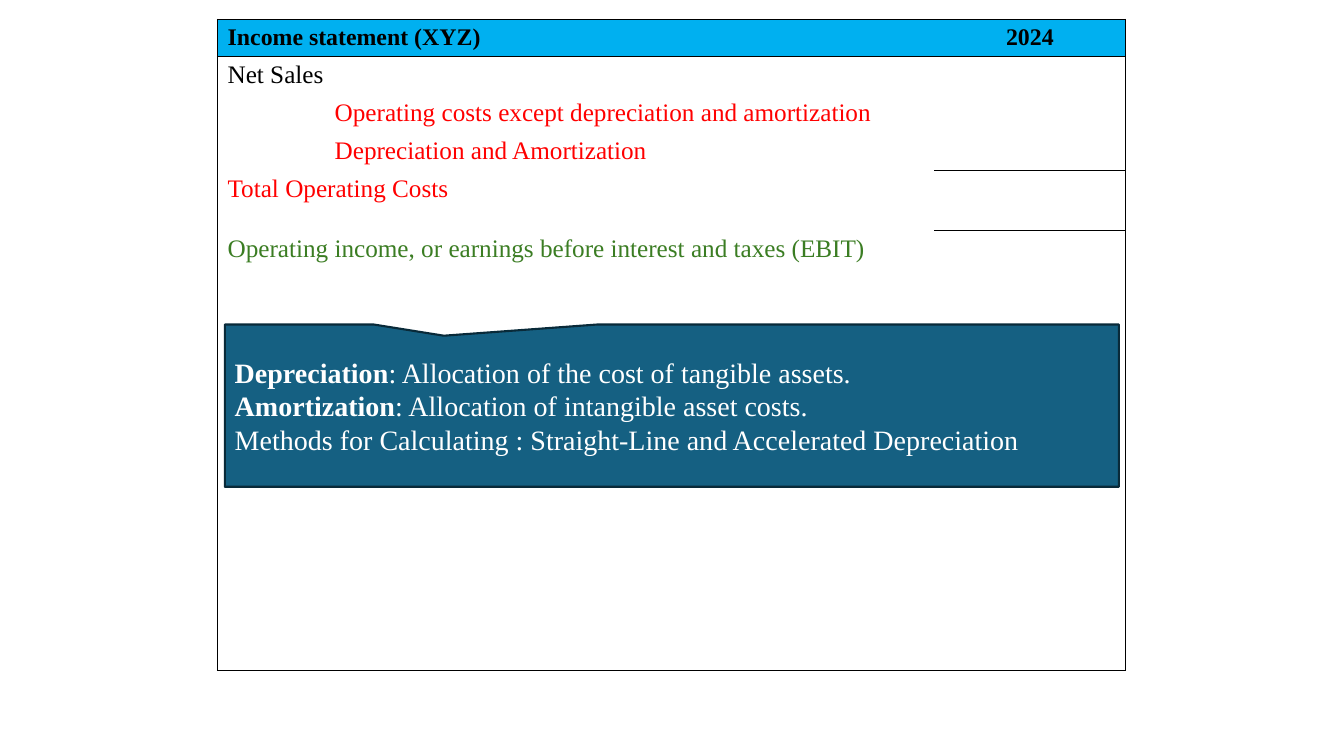
from dataclasses import dataclass

from lxml.etree import SubElement
from pptx import Presentation
from pptx.dml.color import RGBColor
from pptx.enum.shapes import MSO_SHAPE as Shape
from pptx.enum.text import MSO_ANCHOR as Anchor, PP_ALIGN as Align
from pptx.oxml.ns import qn
from pptx.slide import Slide
from pptx.table import Table, _Cell as Cell
from pptx.text.text import _Paragraph as Paragraph
from pptx.util import Pt


@dataclass(frozen=True)
class Theme:
    font: str = "Times New Roman"
    black: str = "000000"
    white: str = "FFFFFF"
    cost: str = "FF0000"
    income: str = "3B7D23"
    header: str = "00B0F0"
    callout: str = "156082"
    callout_line: str = "092A39"
    header_size: float = 17
    body_size: float = 18
    callout_size: float = 20


@dataclass(frozen=True)
class StatementRow:
    label: str = ""
    year: str = ""
    height: float = 27.1
    color: str = "000000"
    indent: float = 0
    header: bool = False


@dataclass(frozen=True)
class Definition:
    term: str
    meaning: str


THEME = Theme()
ROW_COUNT = 17
COLUMN_WIDTHS = (511.9, 136.8)
RULES_ABOVE = ({0, 1, ROW_COUNT}, {0, 1, 4, 5, ROW_COUNT})
SIDE_MARGIN = 7.2
EDGE_MARGIN = 3.2

LABELED_ROWS = [
    StatementRow("Income statement (XYZ)", "2024", 26.4, header=True),
    StatementRow("Net Sales"),
    StatementRow("Operating costs except depreciation and amortization",
                 color=THEME.cost, indent=76.5),
    StatementRow("Depreciation and Amortization", color=THEME.cost, indent=76.5),
    StatementRow("Total Operating Costs", height=42.9, color=THEME.cost),
    StatementRow("Operating income, or earnings before interest and taxes (EBIT)",
                 color=THEME.income),
]
EMPTY_ROWS = [StatementRow(height=26.15)] * (ROW_COUNT - len(LABELED_ROWS))
ROWS = LABELED_ROWS + EMPTY_ROWS

DEFINITIONS = [
    Definition("Depreciation", ": Allocation of the cost of tangible assets."),
    Definition("Amortization", ": Allocation of intangible asset costs."),
    Definition("", "Methods for Calculating : Straight-Line and Accelerated Depreciation"),
]


def add_text(paragraph: Paragraph, text: str, *, size: float, color: str,
             bold: bool = False, align: Align = Align.LEFT) -> None:
    paragraph.alignment = align
    run = paragraph.add_run()
    run.text = text
    run.font.name = THEME.font
    run.font.size = Pt(size)
    run.font.bold = bold
    run.font.color.rgb = RGBColor.from_string(color)


def set_borders(cell: Cell, visible: dict[str, bool]) -> None:
    properties = cell._tc.get_or_add_tcPr()
    for position, (side, shown) in enumerate(visible.items()):
        line = SubElement(properties, qn(f"a:ln{side}"), w=str(Pt(1)))
        if shown:
            fill = SubElement(line, qn("a:solidFill"))
            SubElement(fill, qn("a:srgbClr"), val=THEME.black)
        else:
            SubElement(line, qn("a:noFill"))
        properties.insert(position, line)


def fill_cell(table: Table, row_index: int, column_index: int) -> None:
    row = ROWS[row_index]
    cell = table.cell(row_index, column_index)
    text = (row.label, row.year)[column_index]
    cell.margin_left = Pt(SIDE_MARGIN + (row.indent if column_index == 0 else 0))
    cell.margin_right = Pt(SIDE_MARGIN)
    cell.margin_top = cell.margin_bottom = Pt(EDGE_MARGIN if text else 0)
    cell.vertical_anchor = Anchor.MIDDLE if row.header else Anchor.TOP
    if row.header:
        cell.fill.solid()
        cell.fill.fore_color.rgb = RGBColor.from_string(THEME.header)
    else:
        cell.fill.background()
    if text:
        add_text(cell.text_frame.paragraphs[0], text, color=row.color, bold=row.header,
                 size=THEME.header_size if row.header else THEME.body_size,
                 align=Align.CENTER if column_index else Align.LEFT)
    rules = RULES_ABOVE[column_index]
    set_borders(cell, {"L": column_index == 0, "R": column_index == 1,
                       "T": row_index in rules, "B": row_index + 1 in rules})


def add_statement(slide: Slide) -> None:
    frame = slide.shapes.add_table(
        ROW_COUNT, len(COLUMN_WIDTHS), Pt(155.4), Pt(13.9),
        Pt(sum(COLUMN_WIDTHS)), Pt(sum(row.height for row in ROWS)))
    table = frame.table
    table.first_row = table.horz_banding = False
    for column, width in zip(table.columns, COLUMN_WIDTHS):
        column.width = Pt(width)
    for row_index, row in enumerate(ROWS):
        table.rows[row_index].height = Pt(row.height)
        for column_index in range(len(COLUMN_WIDTHS)):
            fill_cell(table, row_index, column_index)


def add_definitions(slide: Slide) -> None:
    callout = slide.shapes.add_shape(Shape.RECTANGULAR_CALLOUT,
                                     Pt(160.6), Pt(231.8), Pt(638.6), Pt(115.9))
    callout.adjustments[0] = -0.255
    callout.adjustments[1] = -0.431
    callout.shadow.inherit = False
    callout.fill.solid()
    callout.fill.fore_color.rgb = RGBColor.from_string(THEME.callout)
    callout.line.color.rgb = RGBColor.from_string(THEME.callout_line)
    callout.line.width = Pt(1.5)
    frame = callout.text_frame
    frame.word_wrap = True
    frame.vertical_anchor = Anchor.MIDDLE
    for index, definition in enumerate(DEFINITIONS):
        paragraph = frame.add_paragraph() if index else frame.paragraphs[0]
        for text, bold in ((definition.term, True), (definition.meaning, False)):
            if text:
                add_text(paragraph, text, size=THEME.callout_size, color=THEME.white,
                         bold=bold, align=Align.JUSTIFY)


def main() -> None:
    presentation = Presentation()
    presentation.slide_width = Pt(960)
    presentation.slide_height = Pt(540)
    slide = presentation.slides.add_slide(presentation.slide_layouts[6])
    add_statement(slide)
    add_definitions(slide)
    presentation.save("out.pptx")


if __name__ == "__main__":
    main()
